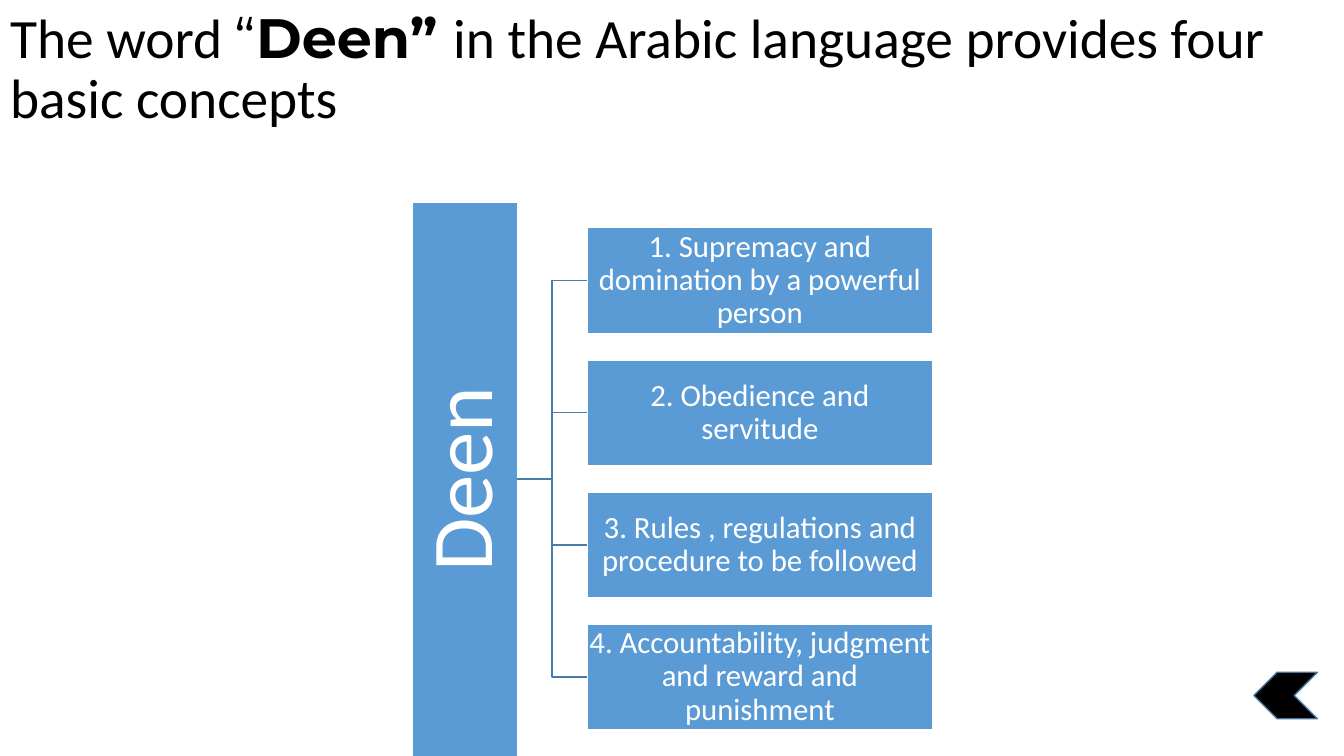
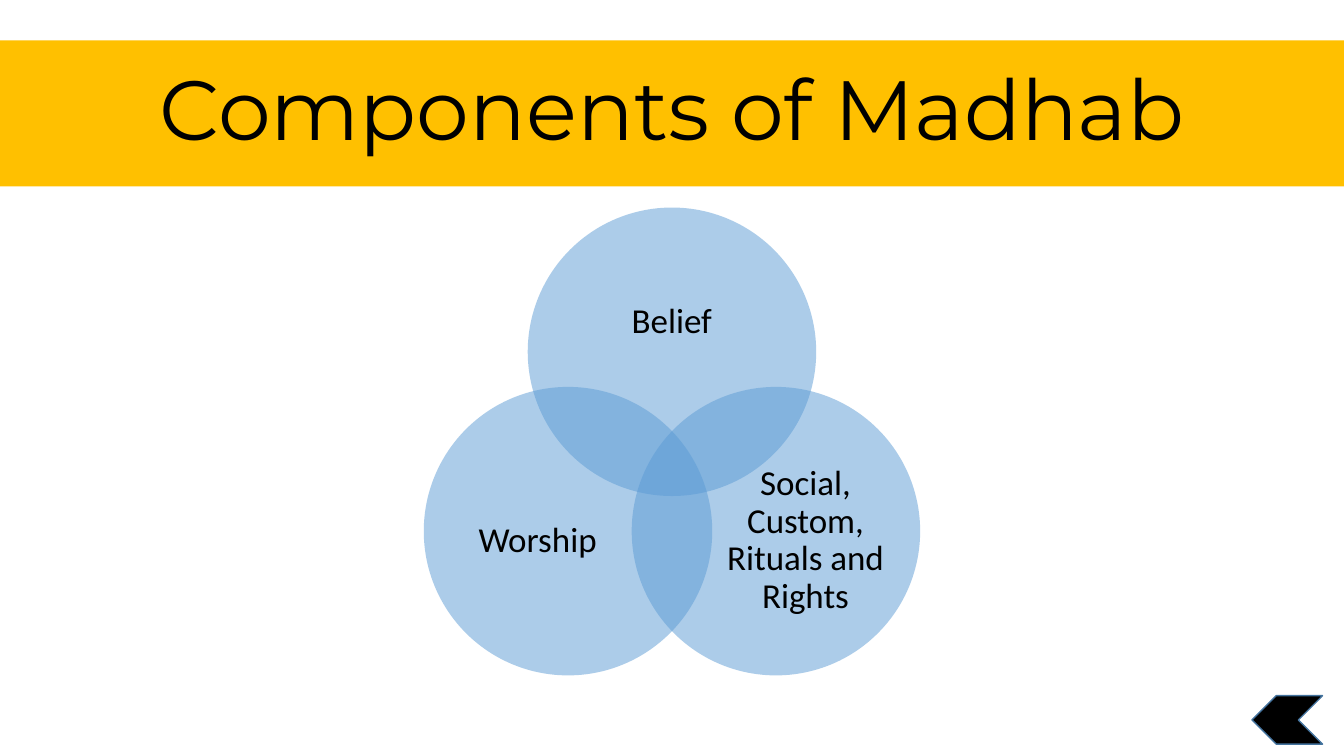
"""Build two slides on the meaning of Deen and the components of Madhab."""
import pptx
import pptx.util
import pptx.dml.color
import pptx.enum.shapes
import pptx.enum.text
import pptx.oxml.ns
import lxml.etree

Cm = pptx.util.Cm
Pt = pptx.util.Pt
Kind = pptx.enum.shapes.MSO_SHAPE
Link = pptx.enum.shapes.MSO_CONNECTOR
Side = pptx.enum.text.PP_ALIGN
Anchor = pptx.enum.text.MSO_ANCHOR
qn = pptx.oxml.ns.qn

BLUE, LINE, EDGE = "5B9BD5", "497CAB", "43739E"
GOLD, BLACK, WHITE = "FFC000", "000000", "FFFFFF"
BODY, HEAD = "Calibri", "Montserrat"
WIDE = 33.87


def paint(part, tint):
    part.solid()
    part.fore_color.rgb = pptx.dml.color.RGBColor.from_string(tint)


def write(shape, text, size, font=BODY, tint=BLACK, align=Side.CENTER,
          anchor=Anchor.MIDDLE, inset=None):
    frame = shape.text_frame
    frame.word_wrap = True
    frame.auto_size = pptx.enum.text.MSO_AUTO_SIZE.NONE
    frame.vertical_anchor = anchor
    if inset is not None:
        frame.margin_left = frame.margin_right = Cm(inset)
        frame.margin_top = frame.margin_bottom = Cm(inset)
    para = frame.paragraphs[0]
    para.alignment = align
    para.line_spacing = 0.9
    runs = [(text, font, False)] if isinstance(text, str) else text
    for words, face, bold in runs:
        run = para.add_run()
        run.text = words
        run.font.name = face
        run.font.size = Pt(size)
        run.font.bold = bold
        paint(run.font.fill, tint)


deck = pptx.Presentation()
deck.slide_width = Cm(WIDE)
deck.slide_height = Cm(19.05)
plain = deck.slide_layouts[5]

deen = deck.slides.add_slide(plain)
title = deen.shapes.title
title.left, title.top, title.width, title.height = Cm(0), Cm(0.15), Cm(WIDE), Cm(4.24)
write(title, [
    ("The word ", BODY, False),
    ("“", HEAD, False),
    ("Deen” ", HEAD, True),
    ("in the Arabic language provides four basic concepts", BODY, False),
], 39.6, align=Side.LEFT, anchor=Anchor.TOP)

tall = 2.66
bar = deen.shapes.add_shape(Kind.RECTANGLE, Cm(10.38), Cm(5.09), Cm(tall), Cm(13.97))
write(bar, "Deen", 62, tint=WHITE, inset=0.1)
bar.text_frame._txBody.bodyPr.set("vert", "vert270")
items = [
    "1. Supremacy and domination by a powerful person",
    "2. Obedience and servitude",
    "3. Rules , regulations and procedure to be followed",
    "4. Accountability, judgment and reward and punishment",
]
boxes = []
for row, item in enumerate(items):
    box = deen.shapes.add_shape(
        Kind.RECTANGLE, Cm(14.79), Cm(5.74 + row * 3.33), Cm(8.72), Cm(tall))
    write(box, item, 22, tint=WHITE, inset=0.05)
    boxes.append(box)
for box in [bar] + boxes:
    box.shadow.inherit = False
    paint(box.fill, BLUE)
    paint(box.line.fill, WHITE)
    box.line.width = Pt(1)
for box in boxes:
    link = deen.shapes.add_connector(Link.ELBOW, 0, 0, 0, 0)
    link.begin_connect(bar, 3)
    link.end_connect(box, 1)
    paint(link.line.fill, LINE)
    link.line.width = Pt(1)
    lxml.etree.SubElement(link._element.spPr, qn("a:effectLst"))

parts = deck.slides.add_slide(plain)
band = parts.shapes.title
band.left, band.top, band.width, band.height = Cm(0), Cm(1.02), Cm(WIDE), Cm(3.68)
paint(band.fill, GOLD)
write(band, "Components of Madhab", 60, font=HEAD)

disc, shift, low = 7.27, 2.62, 9.75
rings = [
    ("Belief", 0, 5.23, (14.28, 6.5, 5.3, 3.25)),
    ("Social, Custom, Rituals and Rights", shift, low, (18.13, 11.63, 4.34, 3.99)),
    ("Worship", -shift, low, (11.38, 11.63, 4.34, 3.99)),
]
for name, move, top, area in rings:
    left = (WIDE - disc) / 2 + move
    ring = parts.shapes.add_shape(Kind.OVAL, Cm(left), Cm(top), Cm(disc), Cm(disc))
    ring.shadow.inherit = False
    paint(ring.fill, BLUE)
    tone = ring._element.spPr.find(qn("a:solidFill"))[0]
    lxml.etree.SubElement(tone, qn("a:alpha")).set("val", "50000")
    ring.line.fill.background()
    label = parts.shapes.add_textbox(*map(Cm, area))
    write(label, name, 25, inset=0)

marks = [(deen, (31.6, 16.94, 1.6, 1.17)), (parts, (31.55, 17.53, 1.78, 1.22))]
for slide, area in marks:
    mark = slide.shapes.add_shape(Kind.CHEVRON, *map(Cm, area))
    mark.rotation = 180
    mark.shadow.inherit = False
    paint(mark.fill, BLACK)
    paint(mark.line.fill, EDGE)
    mark.line.width = Pt(1)

deck.save("out.pptx")
